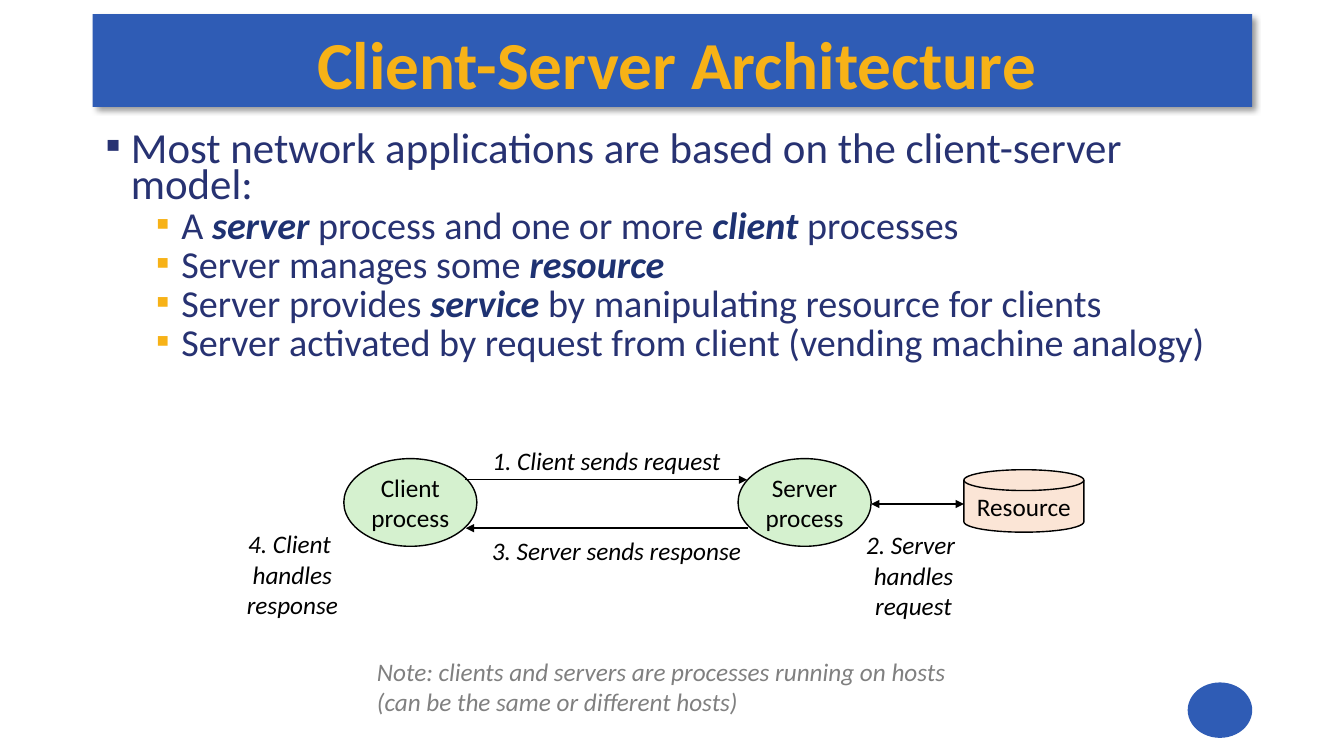
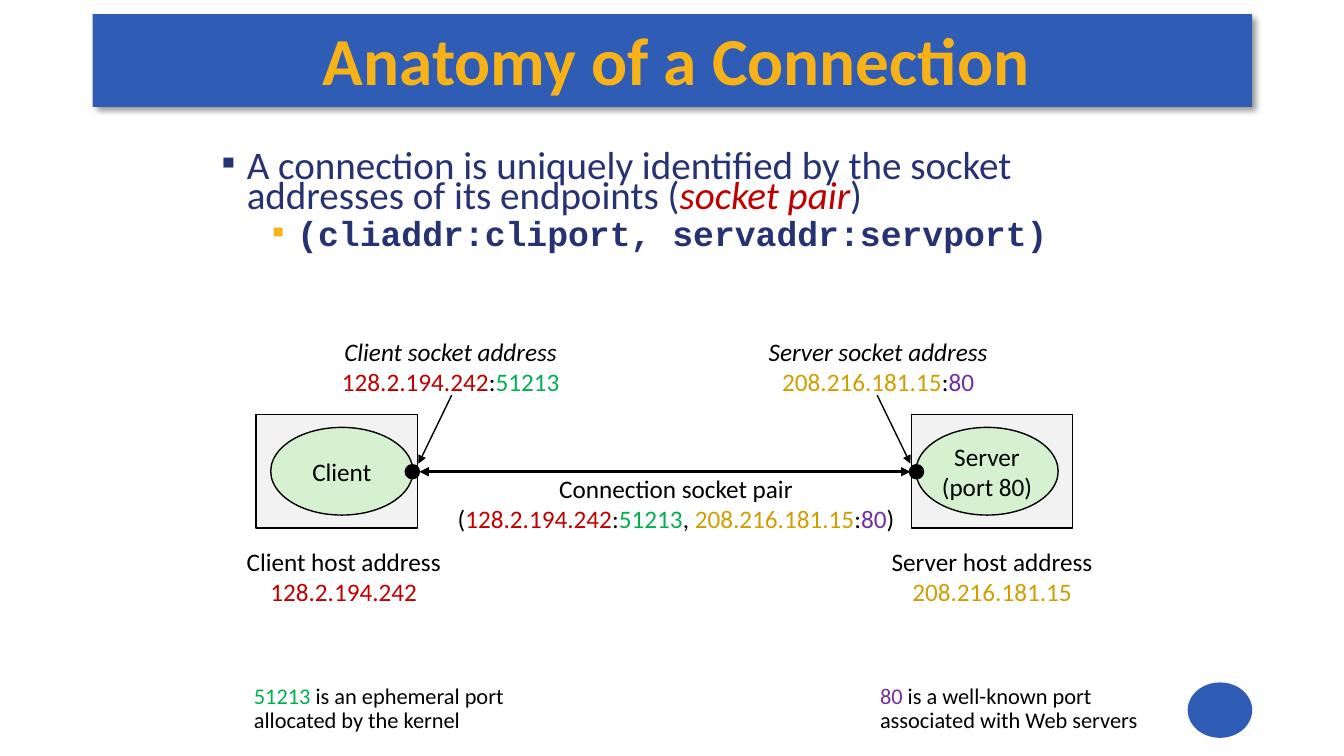
from lxml.etree import SubElement
from pptx import Presentation
from pptx.dml.color import RGBColor
from pptx.enum.shapes import MSO_CONNECTOR, MSO_SHAPE
from pptx.enum.text import MSO_ANCHOR, PP_ALIGN
from pptx.oxml.ns import qn
from pptx.util import Inches, Pt

BLUE = RGBColor(0x2F, 0x5C, 0xB5)
GOLD = RGBColor(0xF7, 0xB2, 0x17)
NAVY = RGBColor(0x27, 0x32, 0x72)
DEEP_NAVY = RGBColor(0x1E, 0x32, 0x72)
BLACK = RGBColor(0, 0, 0)
GRAY = RGBColor(0x80, 0x80, 0x80)
LIGHT_GRAY = RGBColor(0xF2, 0xF2, 0xF2)
GREEN_FILL = RGBColor(0xD5, 0xF1, 0xCF)
PEACH_FILL = RGBColor(0xFB, 0xE5, 0xD6)
RED = RGBColor(0xC0, 0, 0)
GREEN = RGBColor(0, 0xB0, 0x50)
OCHRE = RGBColor(0xD0, 0x9E, 0)
PURPLE = RGBColor(0x70, 0x30, 0xA0)

LABEL = {"name": "Calibri", "size": Pt(18), "color": BLACK}
ITALIC = {**LABEL, "italic": True}
NOTE = {**ITALIC, "color": GRAY}
SMALL = {**LABEL, "size": Pt(16)}
TITLE = {"name": "Calibri", "size": Pt(48), "bold": True, "color": GOLD}
BODY = {"name": "Calibri", "color": NAVY}
TERM = {"bold": True, "italic": True, "color": DEEP_NAVY}
CODE = {"name": "Courier New", "bold": True}

CLIENT_IP = ("128.2.194.242", {"color": RED, "italic": False})
CLIENT_PORT = ("51213", {"color": GREEN, "italic": False})
SERVER_IP = ("208.216.181.15", {"color": OCHRE, "italic": False})
SERVER_PORT = ("80", {"color": PURPLE, "italic": False})


def add_runs(p, runs, base):
    """Add runs, each a string or a (string, format) pair over the base format."""
    for run in [runs] if isinstance(runs, str) else runs:
        text, extra = (run, {}) if isinstance(run, str) else run
        r = p.add_run()
        r.text = text
        for key, value in {**base, **extra}.items():
            if key == "color":
                r.font.color.rgb = value
            else:
                setattr(r.font, key, value)


def fill_text(tf, paragraphs, base, align=PP_ALIGN.CENTER, spacing=None):
    for i, runs in enumerate(paragraphs):
        p = tf.paragraphs[0] if i == 0 else tf.add_paragraph()
        p.alignment = align
        p.line_spacing = spacing
        add_runs(p, runs, base)


def add_text(slide, box, paragraphs, base=LABEL, align=PP_ALIGN.CENTER,
             anchor=MSO_ANCHOR.MIDDLE, wrap=False, spacing=None):
    tf = slide.shapes.add_textbox(*map(Inches, box)).text_frame
    tf.word_wrap = wrap
    tf.vertical_anchor = anchor
    fill_text(tf, paragraphs, base, align, spacing)
    return tf


def add_note(slide, box, paragraphs, base, spacing=None):
    add_text(slide, box, paragraphs, base, PP_ALIGN.LEFT, MSO_ANCHOR.TOP,
             True, spacing)


def add_box(slide, kind, box, fill, outline=BLACK, paragraphs=()):
    sp = slide.shapes.add_shape(kind, *map(Inches, box))
    sp.shadow.inherit = False
    sp.fill.solid()
    sp.fill.fore_color.rgb = fill
    if outline is None:
        sp.line.fill.background()
    else:
        sp.line.color.rgb = outline
        sp.line.width = Pt(1)
    tf = sp.text_frame
    tf.word_wrap = False
    tf.vertical_anchor = MSO_ANCHOR.MIDDLE
    fill_text(tf, paragraphs, LABEL)
    return sp


def add_arrow(slide, start, end, width=1, both=False):
    line = slide.shapes.add_connector(
        MSO_CONNECTOR.STRAIGHT, *map(Inches, (*start, *end)))
    line.line.color.rgb = BLACK
    line.line.width = Pt(width)
    sp_pr = line._element.spPr
    ln = sp_pr.find(qn("a:ln"))
    for tag in ("a:headEnd", "a:tailEnd") if both else ("a:tailEnd",):
        SubElement(ln, qn(tag), type="triangle")
    SubElement(sp_pr, qn("a:effectLst"))


def add_drop_shadow(sp):
    effects = sp._element.spPr.find(qn("a:effectLst"))
    shadow = SubElement(effects, qn("a:outerShdw"), blurRad=str(Pt(4)),
                        dist=str(Pt(3)), dir="2700000", algn="tl",
                        rotWithShape="0")
    color = SubElement(shadow, qn("a:srgbClr"), val="000000")
    SubElement(color, qn("a:alpha"), val="40000")


def add_frame(slide, title, title_box):
    """Draw the title band, the title and the corner disc."""
    band = add_box(slide, MSO_SHAPE.RECTANGLE, (0.92, 0.14, 11.5, 0.92), BLUE, None)
    add_drop_shadow(band)
    add_box(slide, MSO_SHAPE.OVAL, (11.78, 6.77, 0.64, 0.55), BLUE, None)
    tf = add_text(slide, title_box, [title], TITLE, wrap=True)
    for side, inset in {"left": 0.08, "top": 0.03, "right": 0, "bottom": 0.03}.items():
        setattr(tf, f"margin_{side}", Inches(inset))


def add_bullets(slide, box, items, sizes, spacings):
    """Add (level, runs) items; sizes and spacings are given by level."""
    tf = slide.shapes.add_textbox(*map(Inches, box)).text_frame
    tf.word_wrap = True
    for i, (level, runs) in enumerate(items):
        p = tf.paragraphs[0] if i == 0 else tf.add_paragraph()
        p.level = level
        p.line_spacing = spacings[level]
        p.space_before = Pt(5 if i else 0)
        p_pr = p._p.get_or_add_pPr()
        p_pr.set("marL", str(Inches(0.25 + 0.5 * level)))
        p_pr.set("indent", str(Inches(-0.25)))
        color = SubElement(p_pr, qn("a:buClr"))
        SubElement(color, qn("a:srgbClr"), val=str(GOLD if level else NAVY))
        SubElement(p_pr, qn("a:buFont"), typeface="Calibri")
        SubElement(p_pr, qn("a:buChar"), char="▪")
        add_runs(p, runs, {**BODY, "size": Pt(sizes[level])})


def add_request_flow(slide, left, top):
    """Draw the client, the server and the resource with their four steps."""
    def at(x, y, *size):
        return (left + x, top + y, *size)

    for x, name in ((1.08, "Client"), (4.99, "Server")):
        add_box(slide, MSO_SHAPE.OVAL, at(x, 0.18, 1.32, 0.87), GREEN_FILL,
                paragraphs=[name, "process"])
    add_box(slide, MSO_SHAPE.FLOWCHART_MAGNETIC_DISK, at(7.23, 0.29, 1.19, 0.62),
            PEACH_FILL, paragraphs=["Resource"])
    add_arrow(slide, at(2.28, 0.39), at(5.08, 0.39))
    add_arrow(slide, at(5.09, 0.87), at(2.29, 0.87))
    add_arrow(slide, at(6.31, 0.63), at(7.23, 0.63), both=True)
    steps = [
        ((2.41, 0, 2.55, 0.4), ["1. Client sends request"]),
        ((6.14, 0.83, 1.18, 1.01), ["2. Server ", "handles", "request"]),
        ((2.4, 0.89, 2.77, 0.4), ["3. Server sends response"]),
        ((0, 0.82, 1.14, 1.01), ["4. Client ", "handles", "response"]),
    ]
    for box, lines in steps:
        add_text(slide, at(*box), lines, ITALIC)


def add_endpoint(slide, center, top, inward, process, role, ip, port, address_dx=0):
    """Draw a host with its labels; inward is 1 or -1, towards the other host."""
    def centered(dx, y, width, height):
        return (center + dx - width / 2, top + y, width, height)

    add_box(slide, MSO_SHAPE.RECTANGLE, centered(0, 0.83, 1.6, 1.13), LIGHT_GRAY)
    add_box(slide, MSO_SHAPE.OVAL, centered(0.05 * inward * -1 if inward < 0 and False else 0.05 * inward,
                                            0.96, 1.41, 0.87),
            GREEN_FILL, paragraphs=process)
    add_box(slide, MSO_SHAPE.OVAL, centered(0.75 * inward, 1.33, 0.14, 0.14), BLACK)
    add_text(slide, centered(1.13 * inward, 0, 2.4, 0.71),
             [f"{role} socket address", [ip, (":", {"italic": False}), port]], ITALIC)
    add_arrow(slide, (center + 1.14 * inward, top + 0.64),
              (center + 0.81 * inward, top + 1.32))
    add_text(slide, centered(address_dx, 2.08, 2.2, 0.71),
             [f"{role} host address", [ip]])


def add_connection(slide, left, top):
    """Draw both hosts and the connection between their sockets."""
    add_endpoint(slide, left + 1.02, top, 1, ["Client"], "Client",
                 CLIENT_IP, CLIENT_PORT, 0.07)
    add_endpoint(slide, left + 7.52, top, -1, ["Server", "(port 80)"], "Server",
                 SERVER_IP, SERVER_PORT)
    add_arrow(slide, (left + 1.84, top + 1.4), (left + 6.71, top + 1.4), 2.25, both=True)
    add_text(slide, (left + 2.08, top + 1.36, 4.61, 0.71), [
        "Connection socket pair",
        ["(", CLIENT_IP, ":", CLIENT_PORT, ", ", SERVER_IP, ":", SERVER_PORT, ")"],
    ])


def build_architecture(slide):
    add_frame(slide, "Client-Server Architecture", (0.95, 0.16, 11.45, 0.92))
    add_bullets(slide, (0.95, 1.29, 11.45, 2.49), [
        (0, "Most network applications are based on the client-server model:"),
        (1, ["A ", ("server ", TERM), "process and one or more ",
             ("client ", TERM), "processes"]),
        (1, ["Server manages some ", ("resource", TERM)]),
        (1, ["Server provides ", ("service ", TERM),
             "by manipulating resource for clients"]),
        (1, "Server activated by request from client (vending machine analogy)"),
    ], (30.6, 27.2), (0.7, 0.7))
    add_request_flow(slide, 2.33, 4.37)
    add_note(slide, (3.64, 6.46, 7.11, 0.71), [
        "Note: clients and servers are processes running on hosts",
        "(can be the same or different hosts)",
    ], NOTE)


def build_connection(slide):
    add_frame(slide, "Anatomy of a Connection", (0.92, 0.12, 11.5, 0.92))
    add_bullets(slide, (2.1, 1.49, 8.64, 1.26), [
        (0, ["A connection is uniquely identified by the socket addresses "
             "of its endpoints (",
             ("socket pair", {"color": RED, "italic": True}), ")"]),
        (1, [("(cliaddr:cliport, servaddr:servport)", CODE)]),
    ], (27.9, 24.8), (0.65, 0.7))
    add_connection(slide, 2.32, 3.28)
    port_notes = [
        (2.42, CLIENT_PORT, " is an ephemeral port", "allocated by the kernel"),
        (8.63, SERVER_PORT, " is a well-known port", "associated with Web servers"),
    ]
    for left, port, first, second in port_notes:
        add_note(slide, (left, 6.75, 2.8, 0.59), [[port, first], second], SMALL, 0.9)


def main():
    prs = Presentation()
    prs.slide_width = Inches(13.33)
    prs.slide_height = Inches(7.5)
    for build in (build_architecture, build_connection):
        build(prs.slides.add_slide(prs.slide_layouts[6]))
    prs.save("out.pptx")


if __name__ == "__main__":
    main()
